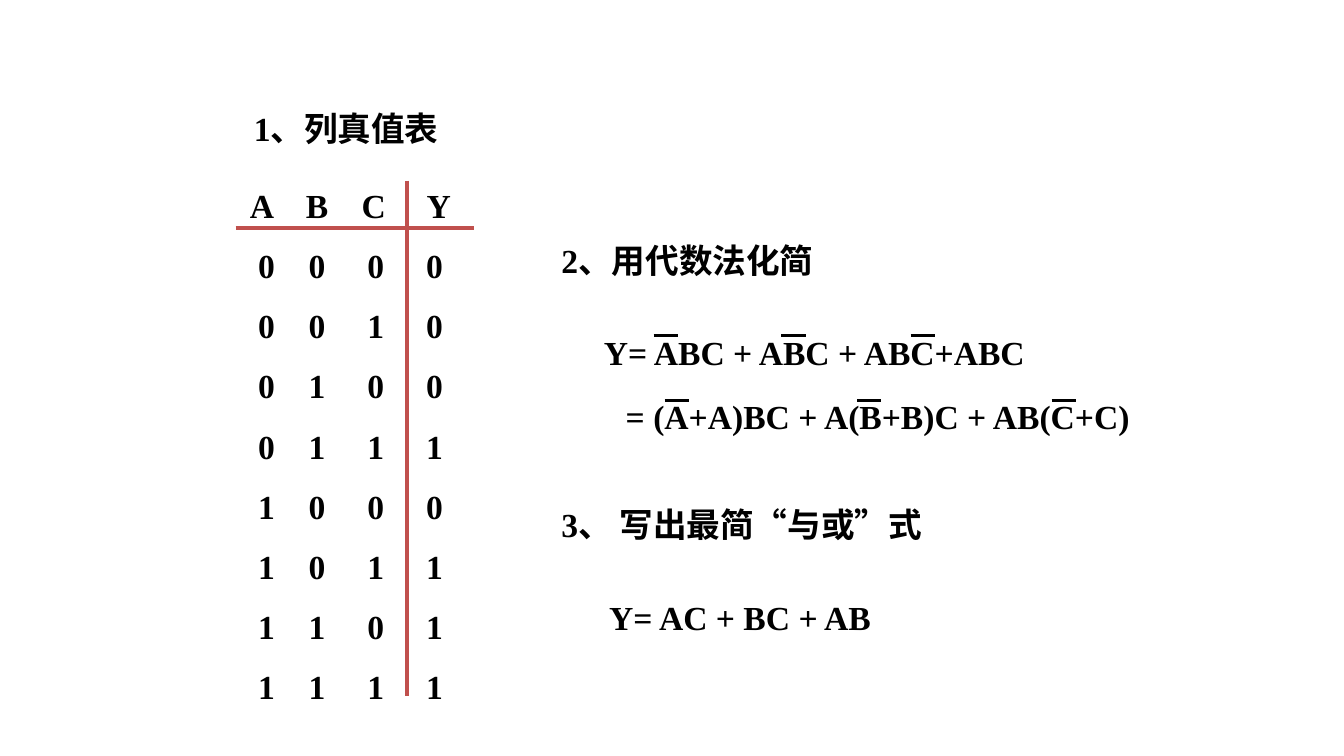
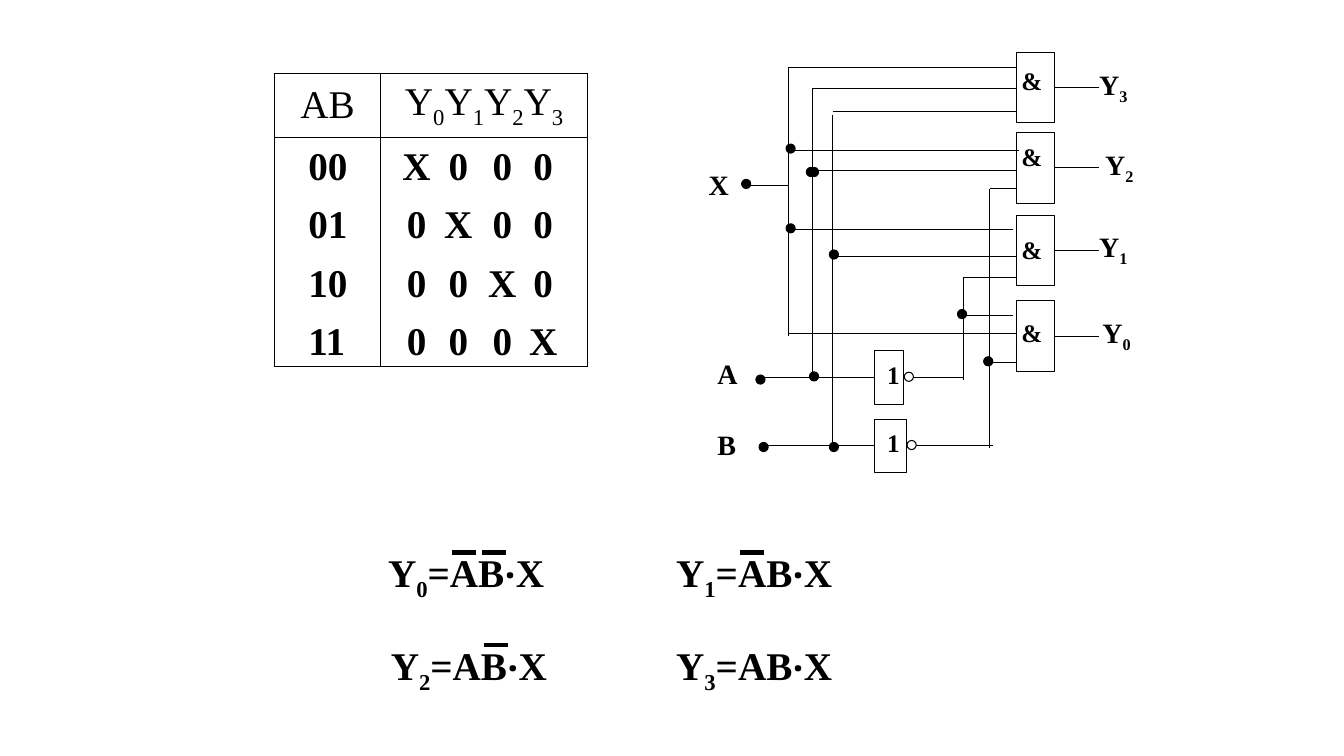
from lxml.etree import SubElement
from pptx import Presentation
from pptx.dml.color import RGBColor
from pptx.enum.shapes import MSO_CONNECTOR, MSO_SHAPE
from pptx.enum.text import MSO_ANCHOR, PP_ALIGN
from pptx.oxml.ns import qn
from pptx.util import Cm, Pt

FONT = "Times New Roman"
BLACK, WHITE, RED = "000000", "FFFFFF", "C0504D"
LEFT, CENTER, JUSTIFY = PP_ALIGN.LEFT, PP_ALIGN.CENTER, PP_ALIGN.JUSTIFY


def rgb(value):
    return RGBColor.from_string(value)


def write(p, text, size=24, bold=True, align=LEFT, before=0, tabs=()):
    p.alignment = align
    if before:
        p.space_before = Pt(before)
    if tabs:
        tab_list = SubElement(p._p.get_or_add_pPr(), qn("a:tabLst"))
        for pos in tabs:
            SubElement(tab_list, qn("a:tab"), pos=str(Cm(pos)), algn="ctr")
    first, *rest = text.split("_")
    runs = [(first, False)]
    for part in rest:
        runs += [(part[0], True), (part[1:], False)]
    for content, lowered in runs:
        if not content:
            continue
        r = p.add_run()
        r.text = content
        r.font.name, r.font.size, r.font.bold = FONT, Pt(size), bold
        r.font.color.rgb = rgb(BLACK)
        if lowered:
            r._r.get_or_add_rPr().set("baseline", "-25000")


def add_text(s, x, y, w, h, text, anchor=MSO_ANCHOR.TOP, **fmt):
    tf = s.shapes.add_textbox(Cm(x), Cm(y), Cm(w), Cm(h)).text_frame
    tf.word_wrap = True
    tf.vertical_anchor = anchor
    write(tf.paragraphs[0], text, **fmt)
    return tf


def add_line(s, x1, y1, x2, y2, color=BLACK, width=0.75):
    line = s.shapes.add_connector(MSO_CONNECTOR.STRAIGHT, Cm(x1), Cm(y1), Cm(x2), Cm(y2))
    line.line.color.rgb = rgb(color)
    line.line.width = Pt(width)
    SubElement(line._element.spPr, qn("a:effectLst"))


def add_shape(s, kind, x, y, w, h, fill=WHITE, outline=True):
    sp = s.shapes.add_shape(kind, Cm(x), Cm(y), Cm(w), Cm(h))
    sp.shadow.inherit = False
    sp.fill.solid()
    sp.fill.fore_color.rgb = rgb(fill)
    if outline:
        sp.line.color.rgb = rgb(BLACK)
        sp.line.width = Pt(0.75)
    else:
        sp.line.fill.background()
    return sp


def add_dot(s, x, y, fill=BLACK):
    add_shape(s, MSO_SHAPE.OVAL, x, y, 0.23, 0.23, fill)


def add_label(s, x, y, text):
    tf = add_shape(s, MSO_SHAPE.RECTANGLE, x, y, 0.81, 1.04, outline=False).text_frame
    tf.margin_left = tf.margin_right = tf.margin_top = tf.margin_bottom = 0
    tf.vertical_anchor = MSO_ANCHOR.TOP
    tf.word_wrap = True
    write(tf.paragraphs[0], text, size=20, align=JUSTIFY)


def add_borders(cell):
    tc_pr = cell._tc.get_or_add_tcPr()
    for side in ("lnL", "lnR", "lnT", "lnB"):
        ln = SubElement(tc_pr, qn("a:" + side), w=str(Pt(1)))
        fill = SubElement(ln, qn("a:solidFill"))
        SubElement(fill, qn("a:srgbClr"), val=BLACK)


def equation(s, x, y, w, text, bars=(), size=24, bar_width=2):
    add_text(s, x, y, w, 1.27, text, size=size)
    for bar in bars:
        add_line(s, x + bar, y + 0.23, x + bar + 0.61, y + 0.23, width=bar_width)


def truth_table(s, x, y):
    head_tabs, digit_tabs = (0.3, 1.69, 3.12, 4.76), (0.42, 1.69, 3.17, 4.65)
    tf = add_text(s, x + 0.11, y + 0.13, 6.15, 13.5, "\tA\tB\tC\tY", tabs=head_tabs)
    for n in range(8):
        digits = f"{n:03b}{int(n.bit_count() > 1)}"
        write(tf.add_paragraph(), "\t" + "\t".join(digits), before=14.2, tabs=digit_tabs)
    add_line(s, x, y + 1.35, x + 6, y + 1.35, RED, 3)
    add_line(s, x + 4.32, y + 0.15, x + 4.32, y + 13.13, RED, 3)


def simplification(s, x, y):
    add_text(s, x, y, 9.58, 1.27, "2、用代数法化简")
    equation(s, x + 1.07, y + 2.31, 13.06, "Y= ABC + ABC + ABC+ABC", (1.5, 4.72, 7.98))
    equation(s, x + 1.62, y + 3.94, 14.05, "= (A+A)BC + A(B+B)C + AB(C+C)",
             (1.23, 6.08, 10.98))
    add_text(s, x, y + 6.65, 10.9, 1.27, "3、 写出最简“与或”式")
    equation(s, x + 1.2, y + 9, 10.85, "Y= AC + BC + AB")


def output_table(s, x, y):
    widths, heights = (2.67, 5.22), (1.61, 5.77)
    table = s.shapes.add_table(2, 2, Cm(x), Cm(y), Cm(sum(widths)), Cm(sum(heights))).table
    table.first_row = table.horz_banding = False
    for col, w in zip(table.columns, widths):
        col.width = Cm(w)
    for row, h in zip(table.rows, heights):
        row.height = Cm(h)
    for cell in table.iter_cells():
        add_borders(cell)
        cell.fill.solid()
        cell.fill.fore_color.rgb = rgb(WHITE)
    for cell, head in zip(table.rows[0].cells, ("AB", "Y_0Y_1Y_2Y_3")):
        cell.vertical_anchor = MSO_ANCHOR.MIDDLE
        write(cell.text_frame.paragraphs[0], head, size=28, bold=False, align=CENTER)
    rows = ["\t".join([f"{n:02b}"] + ["X" if k == n else "0" for k in range(4)])
            for n in range(4)]
    fmt = {"size": 28, "tabs": (2.73, 3.78, 4.89, 5.92)}
    tf = add_text(s, x + 0.6, y + 1.58, 7.04, 5.77, rows[0], **fmt)
    for row in rows[1:]:
        write(tf.add_paragraph(), row, before=8.1, **fmt)


def and_gate(s, x, y, name, mark_dy, label_dx):
    add_shape(s, MSO_SHAPE.RECTANGLE, x, y, 0.96, 1.78)
    add_line(s, x + 0.96, y + 0.89, x + 2.09, y + 0.89)
    add_text(s, x - 0.12, y + mark_dy, 1.07, 1.02, "&", size=18)
    add_label(s, x + 2.09 + label_dx, y + 0.37, name)


def inverter(s, x, y, w):
    add_shape(s, MSO_SHAPE.RECTANGLE, x, y, w, 1.35)
    add_dot(s, x + w + 0.02, y + 0.54, WHITE)
    add_text(s, x + 0.08, y + 0.09, 0.84, 1.02, "1", size=18)


def circuit(s, x, y):
    gate_x = 7.81
    horizontal = [
        (0.38, 2.06, gate_x), (7.09, 2.06, gate_x), (2.48, 2.06, 7.88),
        (4.47, 2.06, 7.73), (3.35, 1.1, 2.06), (0.9, 2.67, gate_x),
        (1.5, 3.18, gate_x), (2.97, 2.67, gate_x), (5.14, 3.18, gate_x),
        (3.43, 7.14, gate_x), (7.82, 7.14, gate_x), (5.67, 6.47, gate_x),
        (6.63, 6.47, 7.73), (8.2, 1.33, 6.47), (9.91, 1.4, 7.22),
    ]
    vertical = [(2.06, 0.38, 7.14), (2.67, 0.9, 8.2), (3.18, 1.58, 9.91),
                (7.14, 3.43, 9.98), (6.47, 5.67, 8.26)]
    dots = [(6.33, 6.48), (2.6, 2.9), (3.1, 4.98), (6.99, 7.67), (2.6, 8.05),
            (3.1, 9.83), (2.52, 2.9), (1.33, 9.83), (0.89, 3.2), (1.25, 8.13),
            (2.01, 2.31), (2.01, 4.32)]
    gates = [("Y_3", 0, 0.2, 0), ("Y_2", 2.02, 0.09, 0.15),
             ("Y_1", 4.1, 0.35, 0), ("Y_0", 6.26, 0.3, 0.08)]
    for name, top, mark_dy, label_dx in gates:
        and_gate(s, x + gate_x, y + top, name, mark_dy, label_dx)
    for wire_y, x1, x2 in horizontal:
        add_line(s, x + x1, y + wire_y, x + x2, y + wire_y)
    for wire_x, y1, y2 in vertical:
        add_line(s, x + wire_x, y + y1, x + wire_x, y + y2)
    for top, w in ((7.52, 0.74), (9.24, 0.81)):
        inverter(s, x + 4.23, y + top, w)
    for dot_x, dot_y in dots:
        add_dot(s, x + dot_x, y + dot_y)
    for name, dx, dy in (("X", 0.06, 2.9), ("A", 0.28, 7.67), ("B", 0.28, 9.45)):
        add_label(s, x + dx, y + dy, name)


def output_equations(s, x, y):
    col, row = 7.26, 2.34
    for n, (dx, bars) in enumerate(((0, (1.85, 2.62)), (0, (1.85,)),
                                    (0.07, (2.59,)), (0, ()))):
        equation(s, x + n % 2 * col + dx, y + n // 2 * row, 4.9,
                 f"Y_{n}=AB‧X", bars, size=28, bar_width=3)


def simplify_slide(prs):
    s = prs.slides.add_slide(prs.slide_layouts[6])
    add_text(s, 6.07, 2.6, 5.31, 1.27, "1、列真值表",
             anchor=MSO_ANCHOR.MIDDLE, align=CENTER)
    truth_table(s, 5.94, 4.4)
    simplification(s, 13.9, 5.92)


def distributor_slide(prs):
    s = prs.slides.add_slide(prs.slide_layouts[6])
    circuit(s, 17.8, 1.32)
    output_table(s, 6.92, 1.85)
    output_equations(s, 9.53, 13.69)


def main():
    prs = Presentation()
    prs.slide_width, prs.slide_height = Cm(33.87), Cm(19.05)
    simplify_slide(prs)
    distributor_slide(prs)
    prs.save("out.pptx")


if __name__ == "__main__":
    main()
